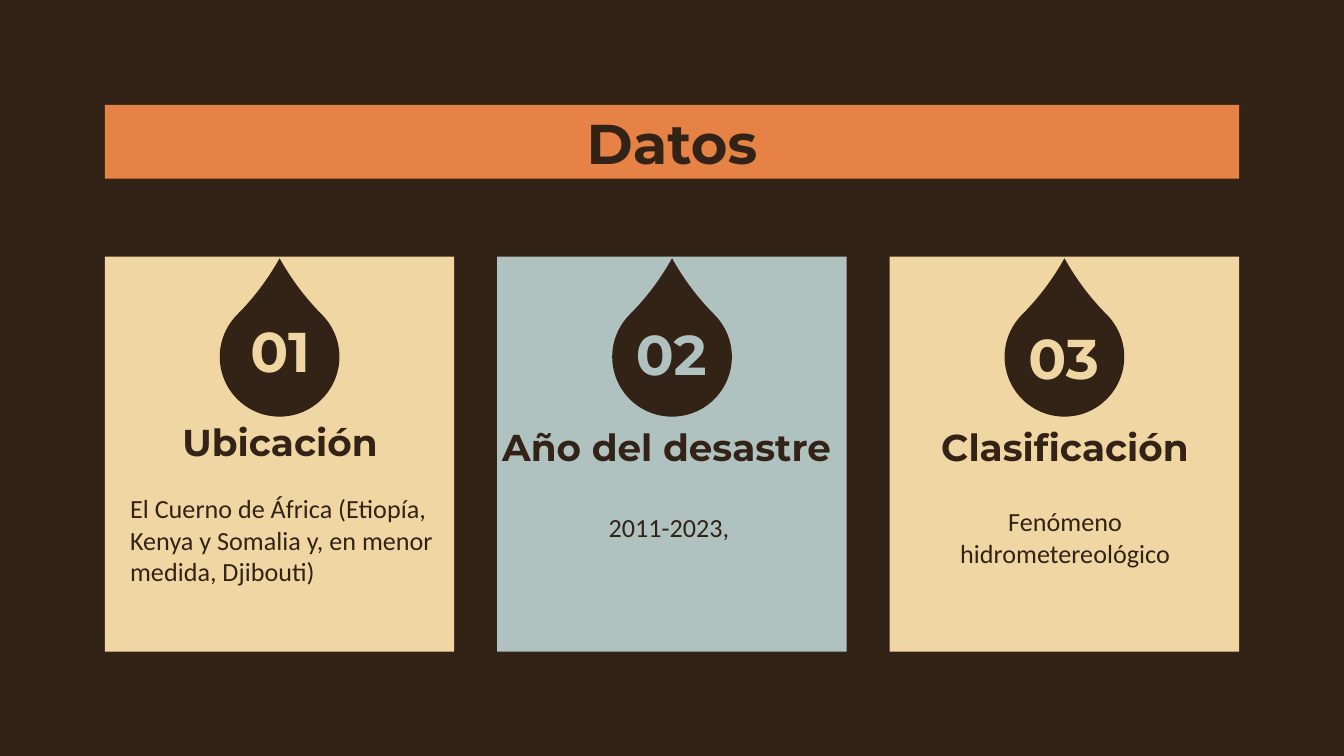
from pptx import Presentation
from pptx.dml.color import RGBColor
from pptx.enum.shapes import MSO_SHAPE as SHAPE
from pptx.enum.text import MSO_ANCHOR as ANCHOR, PP_ALIGN as ALIGN
from pptx.util import Inches, Pt

BROWN = RGBColor(0x33, 0x22, 0x16)
ORANGE = RGBColor(0xE6, 0x82, 0x45)
SAND = RGBColor(0xF0, 0xD6, 0xA2)
TEAL = RGBColor(0xB0, 0xC2, 0xC0)

TITLE = "Datos"
# Boxes are (left, top, width, height) in inches
CARDS = [
    dict(color=SAND,
         number=("01", (1.62, 2.34, 0.93, 0.53)),
         heading=("Ubicación", (0.97, 3.1, 2.23, 0.37)),
         body=("El Cuerno de África (Etiopía, Kenya y Somalia y, en menor medida, Djibouti)",
               (0.87, 3.62, 2.53, 0.79)),
         align=ALIGN.LEFT),
    dict(color=TEAL,
         number=("02", (4.53, 2.36, 0.93, 0.53)),
         heading=("Año del desastre", (3.6, 3.14, 2.72, 0.37)),
         body=("2011-2023, ", (4.03, 3.53, 1.94, 0.79)),
         align=ALIGN.CENTER),
    dict(color=SAND,
         number=("03", (7.45, 2.39, 0.93, 0.53)),
         heading=("Clasificación", (6.81, 3.14, 2.23, 0.37)),
         body=("Fenómeno hidrometereológico", (6.88, 3.6, 2.09, 0.79)),
         align=ALIGN.CENTER),
]
LEFT, CARD_TOP, CARD_W, CARD_H, PITCH = 0.78, 1.91, 2.6, 2.94, 2.92
DROP_TOP, DROP_SIZE = 2.21, 0.89

prs = Presentation()
prs.slide_width = Inches(10)
prs.slide_height = prs.slide_width * 9 // 16
slide = prs.slides.add_slide(prs.slide_layouts[6])
slide.background.fill.solid()
slide.background.fill.fore_color.rgb = BROWN


def add_shape(kind, box, color):
    sp = slide.shapes.add_shape(kind, *map(Inches, box))
    sp.shadow.inherit = False
    sp.fill.solid()
    sp.fill.fore_color.rgb = color
    sp.line.fill.background()
    return sp


def write(sp, text, size, color=BROWN, font="Montserrat", bold=True, align=ALIGN.CENTER):
    tf = sp.text_frame
    tf.word_wrap = True
    tf.vertical_anchor = ANCHOR.MIDDLE
    tf.margin_left = tf.margin_right = tf.margin_top = tf.margin_bottom = Inches(0.1)
    p = tf.paragraphs[0]
    p.alignment = align
    r = p.add_run()
    r.text = text
    r.font.name, r.font.size, r.font.bold = font, Pt(size), bold
    r.font.color.rgb = color


def add_text(text, box, size, **fmt):
    write(slide.shapes.add_textbox(*map(Inches, box)), text, size, **fmt)


write(add_shape(SHAPE.RECTANGLE, (LEFT, 0.78, 8.44, 0.55), ORANGE), TITLE, 30)

for i, card in enumerate(CARDS):
    x = LEFT + i * PITCH
    add_shape(SHAPE.RECTANGLE, (x, CARD_TOP, CARD_W, CARD_H), card["color"])
    drop_x = x + (CARD_W - DROP_SIZE) / 2
    drop = add_shape(SHAPE.TEAR, (drop_x, DROP_TOP, DROP_SIZE, DROP_SIZE), BROWN)
    drop.adjustments[0] = 1.165
    drop.rotation = 315
    add_text(*card["number"], 30, color=card["color"])
    add_text(*card["heading"], 20)
    add_text(*card["body"], 14, font="Calibri", bold=False, align=card["align"])

prs.save("out.pptx")
